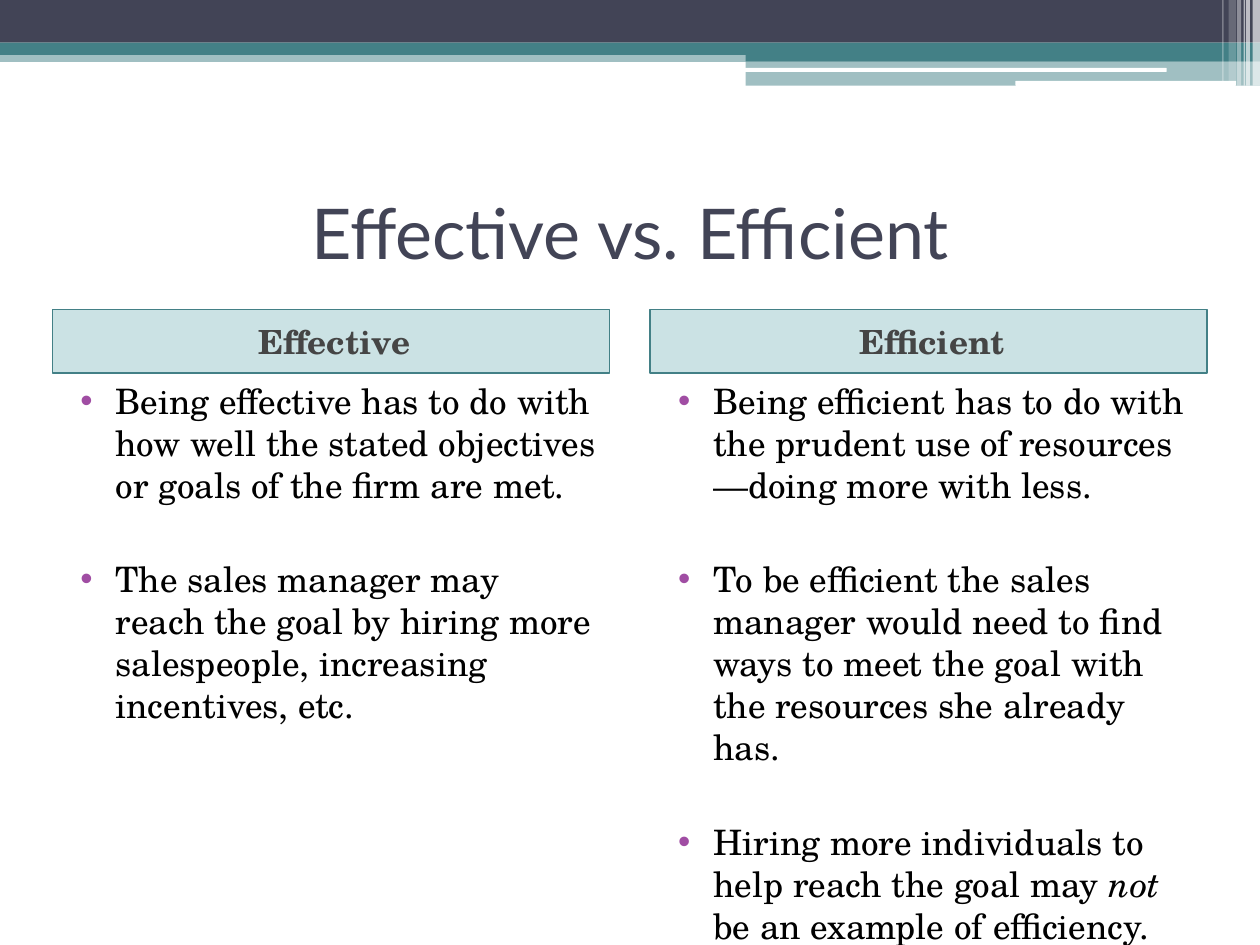
from dataclasses import dataclass
from typing import Any, NamedTuple, Optional

from lxml.etree import SubElement
from pptx import Presentation
from pptx.dml.color import RGBColor as Rgb
from pptx.enum.shapes import MSO_SHAPE as Kind
from pptx.enum.text import MSO_ANCHOR as Anchor, PP_ALIGN as Align
from pptx.oxml.ns import qn
from pptx.util import Cm, Pt


@dataclass(frozen=True)
class Theme:
    navy: str = "424456"
    teal: str = "438086"
    tint: str = "328E97"
    white: str = "FFFFFF"
    black: str = "000000"
    gray: str = "454545"
    plum: str = "A04DA3"
    sans: str = "Lato"
    serif: str = "TeX Gyre Schola"
    title: int = 40
    head: int = 19
    body: int = 20
    gap: int = 3
    skip: int = 30


class Box(NamedTuple):
    x: float
    y: float
    w: float
    h: float


class Bar(NamedTuple):
    box: Box
    color: str
    alpha: int = 100
    kind: Any = Kind.RECTANGLE


class Run(NamedTuple):
    text: str
    italic: bool = False


class Column(NamedTuple):
    x: float
    head: str
    items: list[list[Run]]


T = Theme()
ROUND = Kind.ROUNDED_RECTANGLE

# Banner bands, from back to front
BANDS = [
    Bar(Box(0, 1.02, 25.4, 0.23), T.teal, 50),
    Bar(Box(0, 0, 25.4, 0.86), T.navy),
    Bar(Box(0, 0.86, 25.4, 0.25), T.teal),
    Bar(Box(15.03, 0.99, 10.37, 0.24), T.teal),
    Bar(Box(15.03, 1.23, 10.37, 0.5), T.teal, 50),
    Bar(Box(15.01, 1.37, 8.51, 0.08), T.white, 100, ROUND),
    Bar(Box(20.47, 1.63, 4.45, 0.1), T.white, 100, ROUND),
]

# Corner stripes: left, width, height, opacity
STRIPES = [
    (25.25, 0.15, 1.73, 65), (25.12, 0.08, 1.73, 65),
    (25.07, 0.03, 1.73, 60), (24.94, 0.08, 1.73, 40),
    (24.77, 0.15, 1.63, 20), (24.64, 0.03, 1.63, 30),
]

WIDTH = 11.23
COLUMNS = [
    Column(1.06, "Effective", [
        [Run("Being effective has to do with how well the stated "
             "objectives or goals of the firm are met.")],
        [Run("The sales manager may reach the goal by hiring more "
             "salespeople, increasing incentives, etc.")],
    ]),
    Column(13.11, "Efficient", [
        [Run("Being efficient has to do with the prudent use of "
             "resources—doing more with less.")],
        [Run("To be efficient the sales manager would need to find ways "
             "to meet the goal with the resources she already has.")],
        [Run("Hiring more individuals to help reach the goal may "),
         Run("not", True), Run(" be an example of efficiency.")],
    ]),
]


def apply(obj: Any, form: dict[str, Any]) -> None:
    for name, value in form.items():
        setattr(obj, name, value)


def place(box: Box) -> list[Cm]:
    return [Cm(v) for v in box]


def draw_bar(slide: Any, bar: Bar, line: Optional[str] = None) -> Any:
    shape = slide.shapes.add_shape(bar.kind, *place(bar.box))
    shape.shadow.inherit = False
    shape.fill.solid()
    shape.fill.fore_color.rgb = Rgb.from_string(bar.color)
    if bar.alpha < 100:
        tone = shape.fill._xPr.find(qn("a:solidFill"))[0]
        SubElement(tone, qn("a:alpha"), val=str(bar.alpha * 1000))
    if line:
        shape.line.color.rgb = Rgb.from_string(line)
        shape.line.width = Pt(1)
    else:
        shape.line.fill.background()
    return shape


def add_text(slide: Any, box: Box, anchor: Any) -> Any:
    frame = slide.shapes.add_textbox(*place(box)).text_frame
    apply(frame, {"word_wrap": True, "vertical_anchor": anchor})
    return frame


def add_run(para: Any, text: str, color: str, **form: Any) -> None:
    run = para.add_run()
    run.text = text
    apply(run.font, form)
    run.font.color.rgb = Rgb.from_string(color)


def indent(para: Any, left: float, first: float = 0) -> Any:
    props = para._p.get_or_add_pPr()
    props.set("marL", str(Cm(left)))
    props.set("indent", str(Cm(first)))
    return props


def add_bullet(para: Any) -> None:
    props = indent(para, 1.02, -0.71)
    tone = SubElement(props, qn("a:buClr"))
    SubElement(tone, qn("a:srgbClr"), val=T.plum)
    SubElement(props, qn("a:buFont"), typeface="Arial")
    SubElement(props, qn("a:buChar"), char="•")


def draw_column(slide: Any, col: Column) -> None:
    # Heading
    bar = Bar(Box(col.x, 6.24, WIDTH, 1.28), T.tint, 25)
    frame = draw_bar(slide, bar, T.teal).text_frame
    apply(frame, {"word_wrap": True, "vertical_anchor": Anchor.MIDDLE})
    para = frame.paragraphs[0]
    apply(para, {"alignment": Align.CENTER, "space_before": Pt(T.gap)})
    indent(para, 0.13)
    add_run(para, col.head, T.gray, name=T.serif, size=Pt(T.head), bold=True)

    # Bullets
    frame = add_text(slide, Box(col.x, 7.52, WIDTH, 10.8), Anchor.TOP)
    for i, item in enumerate(col.items):
        para = frame.add_paragraph() if i else frame.paragraphs[0]
        para.space_before = Pt(T.skip if i else T.gap)
        add_bullet(para)
        for run in item:
            add_run(para, run.text, T.black, name=T.serif,
                    size=Pt(T.body), italic=run.italic)


def main() -> None:
    deck = Presentation()
    apply(deck, {"slide_width": Cm(25.4), "slide_height": Cm(19.05)})
    slide = deck.slides.add_slide(deck.slide_layouts[6])

    # Banner
    for bar in BANDS:
        draw_bar(slide, bar)
    for x, w, h, alpha in STRIPES:
        draw_bar(slide, Bar(Box(x, 0, w, h), T.white, alpha))

    # Title
    frame = add_text(slide, Box(1.06, 3.18, 23.28, 2.96), Anchor.MIDDLE)
    para = frame.paragraphs[0]
    para.alignment = Align.CENTER
    add_run(para, "Effective vs. Efficient", T.navy,
            name=T.sans, size=Pt(T.title))

    # Comparison
    for col in COLUMNS:
        draw_column(slide, col)

    deck.save("out.pptx")


if __name__ == "__main__":
    main()
